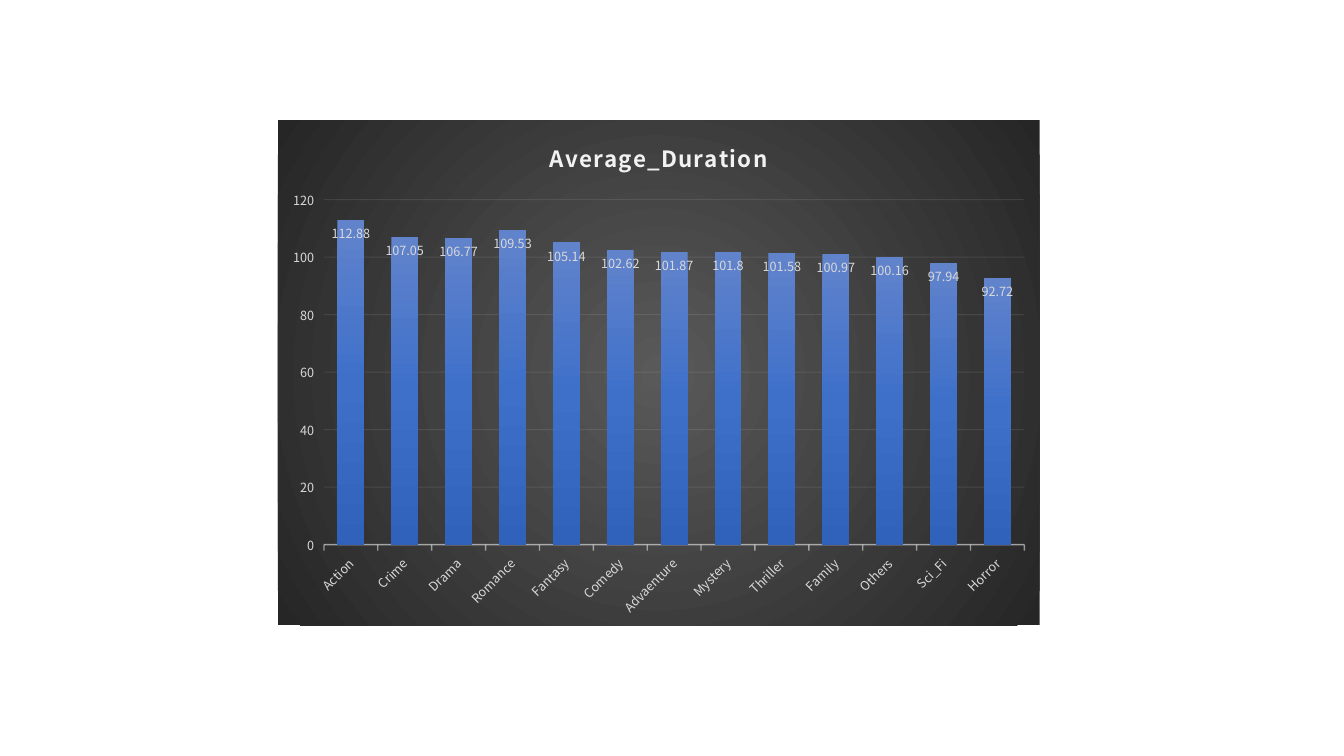
from dataclasses import dataclass

from pptx import Presentation
from pptx.chart.data import CategoryChartData
from pptx.dml.color import RGBColor
from pptx.enum.chart import XL_CHART_TYPE, XL_LABEL_POSITION, XL_TICK_MARK
from pptx.oxml import parse_xml
from pptx.oxml.ns import nsdecls
from pptx.util import Cm, Pt

COLUMNS = XL_CHART_TYPE.COLUMN_CLUSTERED
INSIDE_END = XL_LABEL_POSITION.INSIDE_END
TICK_OUT = XL_TICK_MARK.OUTSIDE
BLANK_LAYOUT = 6

DURATIONS = {
    "Action": 112.88,
    "Crime": 107.05,
    "Drama": 106.77,
    "Romance": 109.53,
    "Fantasy": 105.14,
    "Comedy": 102.62,
    "Advaenture": 101.87,
    "Mystery": 101.8,
    "Thriller": 101.58,
    "Family": 100.97,
    "Others": 100.16,
    "Sci_Fi": 97.94,
    "Horror": 92.72,
}


@dataclass(frozen=True)
class Theme:
    font: str = "Noto Sans CJK SC"
    title_size: int = 16
    label_size: int = 9
    light: str = "F2F2F2"
    label: str = "D9D9D9"
    panel: tuple = ((0, "595959"), (100, "262626"))
    column: tuple = ((0, "6183CB"), (50, "3E70CA"), (100, "3062BB"))


class SlideBuilder:
    def __init__(self, prs, theme):
        self.theme = theme
        self.s = prs.slides.add_slide(prs.slide_layouts[BLANK_LAYOUT])

    def style_font(self, font, size, color, bold=False):
        font.name = self.theme.font
        font.size = Pt(size)
        font.bold = bold
        font.color.rgb = RGBColor.from_string(color)

    def style_labels(self, font):
        self.style_font(font, self.theme.label_size, self.theme.label)

    def gradient(self, stops, direction):
        gs = "".join(
            f'<a:gs pos="{pos * 1000}"><a:srgbClr val="{color}"/></a:gs>'
            for pos, color in stops
        )
        return parse_xml(
            f'<a:gradFill {nsdecls("a")}><a:gsLst>{gs}</a:gsLst>{direction}</a:gradFill>'
        )

    def style_line(self, chart, line, width, xpath, opacity):
        line.width = Pt(width)
        line.color.rgb = RGBColor.from_string(self.theme.light)
        color = chart.element.xpath(f"{xpath}/c:spPr/a:ln//a:srgbClr")[0]
        color.append(parse_xml(f'<a:alpha {nsdecls("a")} val="{opacity * 1000}"/>'))

    def style_title(self, chart, title):
        chart.has_title = True
        chart.chart_title.include_in_layout = False
        p = chart.chart_title.text_frame.paragraphs[0]
        r = p.add_run()
        r.text = title
        self.style_font(p.font, self.theme.title_size, self.theme.light, True)
        for props in chart.element.xpath(".//c:title//a:defRPr"):
            props.set("spc", "100")

    def style_axes(self, chart):
        cat, val = chart.category_axis, chart.value_axis
        for axis in (cat, val):
            axis.major_tick_mark = TICK_OUT
            self.style_labels(axis.tick_labels.font)
        chart.element.xpath(".//c:catAx/c:txPr/a:bodyPr")[0].set("rot", "-2700000")
        self.style_line(chart, cat.format.line, 1, ".//c:catAx", 54)
        val.minimum_scale, val.maximum_scale, val.major_unit = 0, 120, 20
        val.format.line.fill.background()
        val.has_major_gridlines = True
        grid = val.major_gridlines.format.line
        self.style_line(chart, grid, 0.75, ".//c:valAx/c:majorGridlines", 10)

    def style_columns(self, chart):
        plot = chart.plots[0]
        plot.gap_width, plot.overlap, plot.vary_by_categories = 100, -24, False
        series = plot.series[0]
        series.format.line.fill.background()
        fill = self.gradient(self.theme.column, '<a:lin ang="5400000" scaled="0"/>')
        chart.element.xpath(".//c:ser/c:spPr")[0].insert(0, fill)
        labels = series.data_labels
        labels.show_value = True
        labels.position = INSIDE_END
        self.style_labels(labels.font)

    def style_panel(self, chart):
        panel = parse_xml(f'<c:spPr {nsdecls("c", "a")}><a:ln><a:noFill/></a:ln></c:spPr>')
        center = '<a:fillToRect l="50000" t="50000" r="50000" b="50000"/>'
        direction = f'<a:path path="circle">{center}</a:path>'
        panel.insert(0, self.gradient(self.theme.panel, direction))
        chart.element.xpath("./c:txPr")[0].addprevious(panel)

    def column_chart(self, title, values, left, top, width, height):
        data = CategoryChartData()
        data.categories = list(values)
        data.add_series(title, list(values.values()))
        chart = self.s.shapes.add_chart(COLUMNS, left, top, width, height, data).chart
        chart.has_legend = False
        self.style_labels(chart.font)
        self.style_title(chart, title)
        self.style_axes(chart)
        self.style_columns(chart)
        self.style_panel(chart)


def main():
    prs = Presentation()
    prs.slide_width, prs.slide_height = Cm(33.87), Cm(19.05)
    builder = SlideBuilder(prs, Theme())
    builder.column_chart(
        "Average_Duration", DURATIONS, Cm(7), Cm(3.03), Cm(19.2), Cm(12.73)
    )
    prs.save("out.pptx")


if __name__ == "__main__":
    main()
